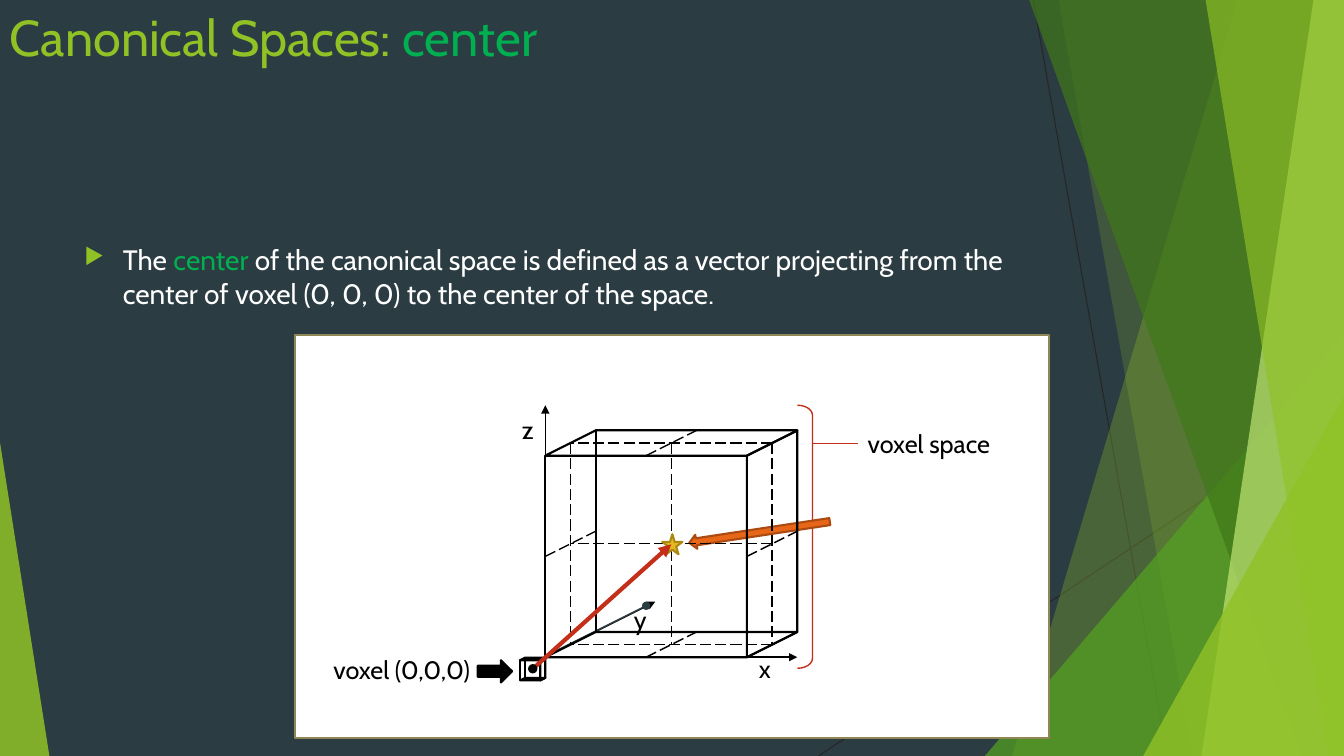
from dataclasses import dataclass

from lxml.etree import SubElement
from pptx import Presentation
from pptx.dml.color import RGBColor
from pptx.enum.dml import MSO_LINE as Dash
from pptx.enum.shapes import MSO_CONNECTOR as Connector, MSO_SHAPE as Shape
from pptx.enum.text import PP_ALIGN as Align
from pptx.oxml.ns import qn
from pptx.util import Inches, Pt

CELL = 0.25
COLUMNS, ROWS = 53.33, 30
FONT = "Cabin"
LIME, GREEN, RED, BLACK, WHITE, SLATE = "90C226", "00B050", "C42F1A", "000000", "FFFFFF", "2C3C43"


@dataclass
class Band:
    top: float
    bottom: float
    color: str
    opacity: int


@dataclass
class Wedge:
    left: float
    top: float
    width: float
    peak: int
    color: str
    opacity: int


@dataclass
class Label:
    left: float
    top: float
    width: float
    text: str
    wrap: bool = False


FACETS = [
    Band(49.12, 40.16, LIME, 30),
    Band(42, 47.32, LIME, 20),
    Wedge(39.08, 13.32, 14.25, 1, "54A021", 72),
    Band(40.84, 51.64, "3F7819", 70),
    Band(52.12, 47.68, "C0E474", 70),
    Band(47.84, 52.72, LIME, 65),
    Wedge(45.36, 15.72, 7.97, 1, LIME, 80),
    Wedge(0, 17.56, 1.96, 0, LIME, 85),
]
AXIS_LABELS = [
    Label(24.76, 23.8, 1.32, "y"),
    Label(29.72, 25.72, 1.32, "x"),
    Label(20.32, 16.24, 1.32, "z"),
]
CUBE_LEFT, CUBE_TOP, CUBE_EDGE, CUBE_DEPTH = 21.64, 18.08, 8, 2
CUBE_BOTTOM = CUBE_TOP + CUBE_EDGE


def cells(count: float) -> int:
    """Turn a number of grid cells into a length."""
    return Inches(count * CELL)


def rgb(color: str) -> RGBColor:
    """Turn a hex string into a colour."""
    return RGBColor.from_string(color)


def paint(shape, fill: str = "", line: str = "", weight: float = 1.5, opacity: int = 100) -> None:
    """Set the fill, outline and opacity of a shape."""
    shape.shadow.inherit = False
    if fill:
        shape.fill.solid()
        shape.fill.fore_color.rgb = rgb(fill)
        if opacity < 100:
            tint = shape.element.spPr.find(qn("a:solidFill"))[0]
            SubElement(tint, qn("a:alpha")).set("val", str(opacity * 1000))
    else:
        shape.fill.background()
    if line:
        shape.line.color.rgb = rgb(line)
        shape.line.width = Pt(weight)
    else:
        shape.line.fill.background()


def add_figure(page, kind, left: float, top: float, width: float, height: float,
               fill: str = "", line: str = BLACK, weight: float = 1.5, **style):
    """Draw a preset shape on the grid."""
    figure = page.shapes.add_shape(kind, *map(cells, (left, top, width, height)))
    paint(figure, fill, line, weight, style.get("opacity", 100))
    if "adjust" in style:
        figure.adjustments[0] = style["adjust"]
    figure.rotation = style.get("turn", 0)
    return figure


def add_line(page, start: tuple, end: tuple, color: str = BLACK, weight: float = 1,
             tail: str = "", dashed: bool = False):
    """Draw a straight line between two grid points."""
    line = page.shapes.add_connector(Connector.STRAIGHT, *map(cells, (*start, *end)))
    line.line.color.rgb = rgb(color)
    line.line.width = Pt(weight)
    if dashed:
        line.line.dash_style = Dash.LONG_DASH
    if tail:
        SubElement(line.line._get_or_add_ln(), qn("a:tailEnd")).set("type", tail)
    SubElement(line.element.spPr, qn("a:effectLst"))
    return line


def add_text(page, left: float, top: float, width: float, height: float, wrap: bool = True):
    """Add a text box and return it with its first paragraph."""
    box = page.shapes.add_textbox(*map(cells, (left, top, width, height)))
    box.text_frame.word_wrap = wrap
    return box, box.text_frame.paragraphs[0]


def add_spans(para, size: int, *spans: tuple) -> None:
    """Fill a paragraph with coloured spans."""
    for text, color in spans:
        span = para.add_run()
        span.text = text
        span.font.name, span.font.size = FONT, Pt(size)
        span.font.color.rgb = rgb(color)


def add_label(page, label: Label):
    """Write a diagram label."""
    box, para = add_text(page, label.left, label.top, label.width, 1.6, label.wrap)
    add_spans(para, 18, (label.text, BLACK))
    return box, para


def add_bullet(para) -> None:
    """Give a paragraph a hanging triangle bullet."""
    props = para._p.get_or_add_pPr()
    props.set("marL", str(Inches(0.38)))
    props.set("indent", str(-Inches(0.38)))
    SubElement(SubElement(props, qn("a:buClr")), qn("a:srgbClr")).set("val", LIME)
    SubElement(props, qn("a:buSzPct")).set("val", "80000")
    SubElement(props, qn("a:buChar")).set("char", "▶")


def add_cube(page, left: float, top: float, edge: float, depth: float) -> tuple:
    """Draw a wire cube and return its front and back faces."""
    rise = depth / 2
    slant = Shape.PARALLELOGRAM
    front = add_figure(page, Shape.RECTANGLE, left, top, edge, edge)
    for lid_top in (top - rise, top + edge - rise):
        add_figure(page, slant, left, lid_top, edge + depth, rise, adjust=depth / rise)
    length = edge + rise
    side = add_figure(page, slant, left + edge + depth / 2 - length / 2,
                      top - rise + length / 2 - depth / 2, length, depth,
                      adjust=rise / depth, turn=270)
    side.element.spPr.find(qn("a:xfrm")).set("flipH", "1")
    back = add_figure(page, Shape.RECTANGLE, left + depth, top - rise, edge, edge)
    return front, back


def draw_backdrop(page) -> None:
    """Draw the faceted decoration."""
    page.background.fill.solid()
    page.background.fill.fore_color.rgb = rgb(SLATE)
    add_line(page, (41, 0), (46.32, ROWS), "262626", 0.75)
    add_line(page, (COLUMNS, 16.12), (32.48, ROWS), "262626", 0.75)
    for facet in FACETS:
        if isinstance(facet, Wedge):
            add_figure(page, Shape.ISOSCELES_TRIANGLE, facet.left, facet.top, facet.width,
                       ROWS - facet.top, facet.color, "", adjust=facet.peak, opacity=facet.opacity)
        else:
            outline = page.shapes.build_freeform(cells(facet.top), 0)
            corners = [(COLUMNS, 0), (COLUMNS, ROWS), (facet.bottom, ROWS)]
            outline.add_line_segments([(cells(x), cells(y)) for x, y in corners])
            paint(outline.convert_to_shape(), facet.color, opacity=facet.opacity)


def draw_midplanes(page, front, back) -> None:
    """Draw the dashed lines that halve the cube."""
    left, top = CUBE_LEFT + CUBE_DEPTH / 2, CUBE_TOP - CUBE_DEPTH / 4
    right, bottom = left + CUBE_EDGE, top + CUBE_EDGE
    for step in (0, CUBE_EDGE / 2, CUBE_EDGE):
        add_line(page, (right, top + step), (left, top + step), dashed=True)
        add_line(page, (left + step, top), (left + step, bottom), dashed=True)
    for side in range(4):
        link = add_line(page, (0, 0), (1, 1), dashed=True)
        link.begin_connect(front, side)
        link.end_connect(back, side)


def draw_diagram(page) -> None:
    """Draw the voxel space panel."""
    add_figure(page, Shape.RECTANGLE, 11.72, 13.28, 29.92, 16, WHITE, "918655")
    add_line(page, (22, 25.88), (26, 23.88), tail="triangle")
    add_figure(page, Shape.RIGHT_BRACKET, 31.64, 16.08, 0.6, 10.44, "", RED, 1, adjust=0.655)
    add_line(page, (21.64, 26.04), (25.64, 24.04), SLATE, tail="oval")
    add_figure(page, Shape.RIGHT_ARROW, 27.32, 20.84, 5.64, 0.56, "E76618", "AB4B12", turn=171.4)
    front, back = add_cube(page, CUBE_LEFT, CUBE_TOP, CUBE_EDGE, CUBE_DEPTH)
    add_cube(page, 20.64, 26.2, 0.8, 0.2)
    for tip in ((CUBE_LEFT, CUBE_BOTTOM - 10), (CUBE_LEFT + 10, CUBE_BOTTOM)):
        add_line(page, (CUBE_LEFT, CUBE_BOTTOM), tip, tail="triangle")
    draw_midplanes(page, front, back)
    add_figure(page, Shape.STAR_5_POINT, 26.28, 21.2, 0.8, 0.8, "E6B91E", "AA8916")
    add_line(page, (21.12, 26.56), (26.64, 21.6), RED, 3, "triangle")
    voxel, para = add_label(page, Label(12.32, 25.76, 6.72, "voxel (0,0,0)", True))
    voxel.fill.solid()
    voxel.fill.fore_color.rgb = rgb(WHITE)
    para.alignment = Align.RIGHT
    add_figure(page, Shape.RIGHT_ARROW, 18.96, 26.2, 1.36, 0.88, BLACK)
    space, _ = add_label(page, Label(34.04, 16.8, 7.08, "voxel space", True))
    add_line(page, (34.04, 17.6), (32.24, 17.6), RED).begin_connect(space, 1)
    add_figure(page, Shape.OVAL, 21.04, 26.44, 0.2, 0.2, BLACK, weight=3)
    for label in AXIS_LABELS:
        add_label(page, label)


def main() -> None:
    """Build and save the slide."""
    deck = Presentation()
    deck.slide_width, deck.slide_height = cells(COLUMNS), cells(ROWS)
    page = deck.slides.add_slide(deck.slide_layouts[6])
    draw_backdrop(page)
    _, title = add_text(page, 0, 0.04, 37.6, 5.76)
    add_spans(title, 36, ("Canonical Spaces: ", LIME), ("center", GREEN))
    _, body = add_text(page, 2.96, 9.44, 37.6, 16.96)
    add_bullet(body)
    add_spans(body, 20, ("The ", WHITE), ("center ", GREEN),
              ("of the canonical space is defined as a vector projecting from the "
               "center of voxel (0, 0, 0) to the center of the space.", WHITE))
    draw_diagram(page)
    deck.save("out.pptx")


if __name__ == "__main__":
    main()
